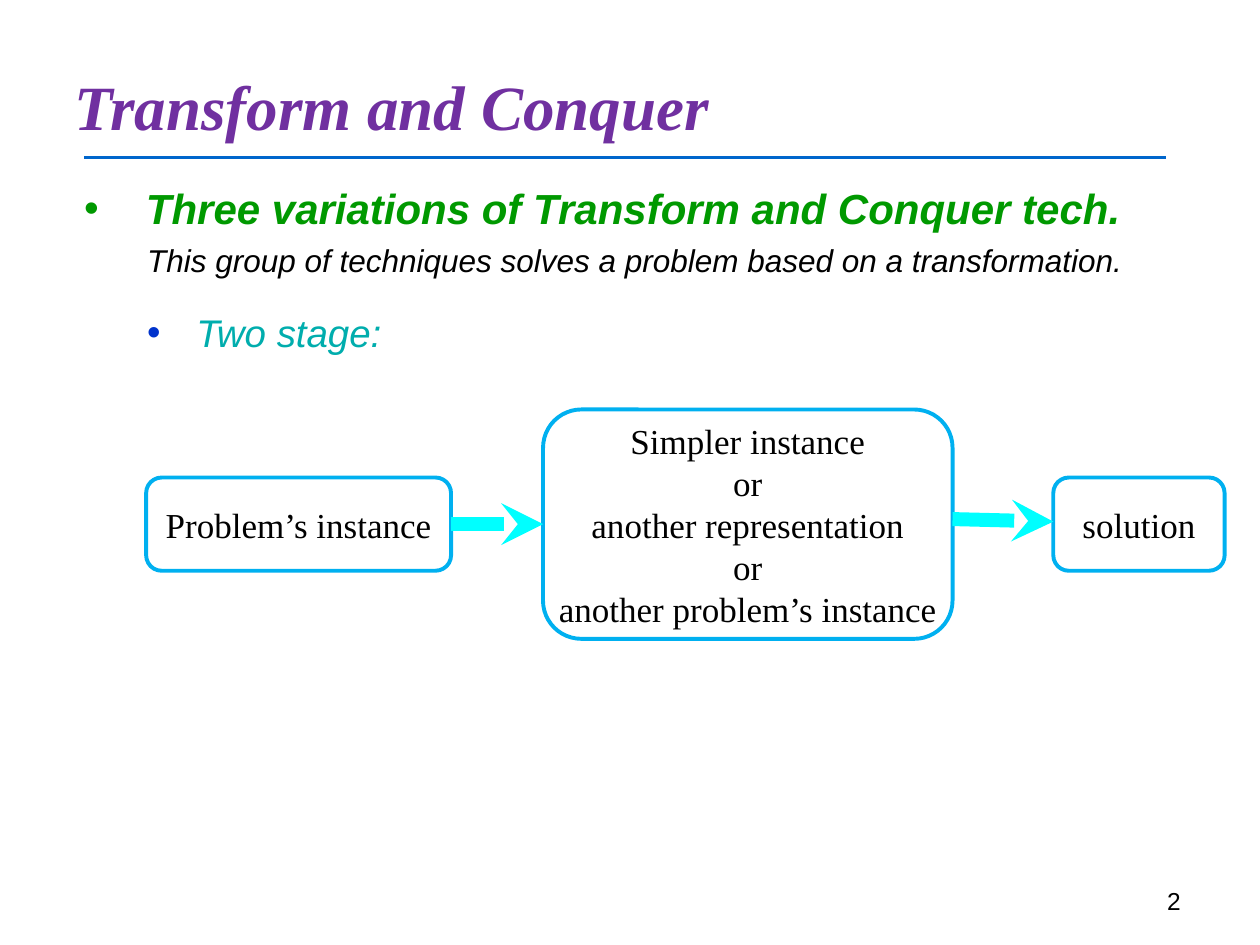
from lxml import etree
from pptx import Presentation
from pptx.dml.color import RGBColor
from pptx.enum.shapes import MSO_CONNECTOR, MSO_SHAPE
from pptx.enum.text import MSO_ANCHOR, PP_ALIGN
from pptx.oxml.ns import qn
from pptx.util import Inches, Pt

BLACK = RGBColor(0x00, 0x00, 0x00)
PURPLE = RGBColor(0x70, 0x30, 0xA0)
GREEN = RGBColor(0x00, 0x99, 0x00)
TEAL = RGBColor(0x00, 0xAD, 0xAD)
BULLET_BLUE = RGBColor(0x00, 0x33, 0xCC)
RULE_BLUE = RGBColor(0x00, 0x66, 0xCC)
BOX_BLUE = RGBColor(0x00, 0xB0, 0xF0)
CYAN = RGBColor(0x00, 0xFF, 0xFF)
SERIF, SANS = "Times New Roman", "Arial"


def set_font(font, name, size, color, bold=False, italic=False):
    font.name, font.size = name, Pt(size)
    font.bold, font.italic = bold, italic
    font.color.rgb = color


def add_text_box(page, left, top, width, height):
    box = page.shapes.add_textbox(*map(Inches, (left, top, width, height)))
    box.text_frame.word_wrap = True
    return box.text_frame


def add_line(page, start, end, color, width, head=None):
    line = page.shapes.add_connector(MSO_CONNECTOR.STRAIGHT, *map(Inches, start + end))
    line.line.color.rgb, line.line.width = color, Pt(width)
    if head:
        etree.SubElement(line.line._get_or_add_ln(), qn("a:tailEnd"), type=head)
    etree.SubElement(line._element.spPr, qn("a:effectLst"))


def set_indent(para, margin, hanging, bullet_color):
    props = para._p.get_or_add_pPr()
    props.set("marL", str(Inches(margin)))
    props.set("indent", str(-Inches(hanging)))
    if bullet_color is None:
        etree.SubElement(props, qn("a:buNone"))
        return
    color = etree.SubElement(props, qn("a:buClr"))
    etree.SubElement(color, qn("a:srgbClr"), val=str(bullet_color))
    etree.SubElement(props, qn("a:buFont"), typeface=SANS)
    etree.SubElement(props, qn("a:buChar"), char="•")


def add_heading(page, left, top, width, height):
    frame = add_text_box(page, left, top, width, height)
    frame.vertical_anchor = MSO_ANCHOR.MIDDLE
    span = frame.paragraphs[0].add_run()
    span.text = "Transform and Conquer"
    set_font(span.font, SERIF, 36, PURPLE, bold=True, italic=True)
    # Soft grey text shadow, placed right after the fill
    effects = etree.Element(qn("a:effectLst"))
    shadow = etree.SubElement(effects, qn("a:outerShdw"), blurRad="38100",
                              dist="38100", dir="2700000", algn="tl")
    etree.SubElement(shadow, qn("a:srgbClr"), val="C0C0C0")
    span.font._element.find(qn("a:solidFill")).addnext(effects)
    # Rule under the title
    rule_y = top + height + 0.08
    add_line(page, (left + 0.18, rule_y), (left + 8.76, rule_y), RULE_BLUE, 1.75)


def add_points(page, left, top, width, height):
    # text, size, colour, bold, margin, hanging, bullet colour, space before, after
    points = [
        ("Three variations of Transform and Conquer tech.", 24, GREEN, True,
         0.58, 0.49, GREEN, 0, 0),
        ("This group of techniques solves a problem based on a transformation.",
         18, BLACK, False, 0.59, 0, None, 4.5, 12),
        ("Two stage:", 22, TEAL, False, 0.98, 0.39, BULLET_BLUE, 5.5, 12),
    ]
    frame = add_text_box(page, left, top, width, height)
    for index, (text, size, color, bold, margin, hanging, bullet, before, after) in enumerate(points):
        para = frame.add_paragraph() if index else frame.paragraphs[0]
        para.text = text
        set_indent(para, margin, hanging, bullet)
        if index:
            para.space_before = Pt(before)
        para.space_after = Pt(after)
        set_font(para.font, SANS, size, color, bold, italic=True)


def add_stage(page, left, middle, width, height, lines):
    box = page.shapes.add_shape(MSO_SHAPE.ROUNDED_RECTANGLE, Inches(left),
                                Inches(middle - height / 2), Inches(width), Inches(height))
    box.shadow.inherit = False
    box.fill.background()
    box.line.color.rgb, box.line.width = BOX_BLUE, Pt(2.25)
    frame = box.text_frame
    frame.word_wrap = False
    frame.vertical_anchor = MSO_ANCHOR.MIDDLE
    frame.text = "\n".join(lines)
    for para in frame.paragraphs:
        para.alignment = PP_ALIGN.CENTER
        set_font(para.font, SERIF, 20, BLACK)


def add_flow(page, left, middle):
    # offset from the left edge, width, height, lines
    stages = [
        (0, 2.42, 0.74, ["Problem’s instance"]),
        (3.15, 3.25, 1.82, ["Simpler instance", "or", "another representation",
                            "or", "another problem’s instance"]),
        (7.2, 1.36, 0.74, ["solution"]),
    ]
    for offset, width, height, lines in stages:
        add_stage(page, left + offset, middle, width, height, lines)
    # Arrows from each stage to the next; the second slopes slightly
    rises = [(0, 0), (0.04, 0.02)]
    for stage, following, (rise, fall) in zip(stages, stages[1:], rises):
        add_line(page, (left + stage[0] + stage[1], middle - rise),
                 (left + following[0], middle - fall), CYAN, 8, head="stealth")


def add_page_number(page, left, top, width, height):
    para = add_text_box(page, left, top, width, height).paragraphs[0]
    para.text = "2"
    para.alignment = PP_ALIGN.RIGHT
    set_font(para.font, SANS, 14, BLACK)


def main():
    deck = Presentation()
    deck.slide_width, deck.slide_height = Inches(10), Inches(7.5)
    page = deck.slides.add_slide(deck.slide_layouts[6])
    add_heading(page, 0.49, 0.5, 9.1, 0.67)
    add_points(page, 0.48, 1.4, 8.95, 5.55)
    add_flow(page, 1.16, 4.16)
    add_page_number(page, 7.14, 6.98, 2.33, 0.52)
    deck.save("out.pptx")


if __name__ == "__main__":
    main()
